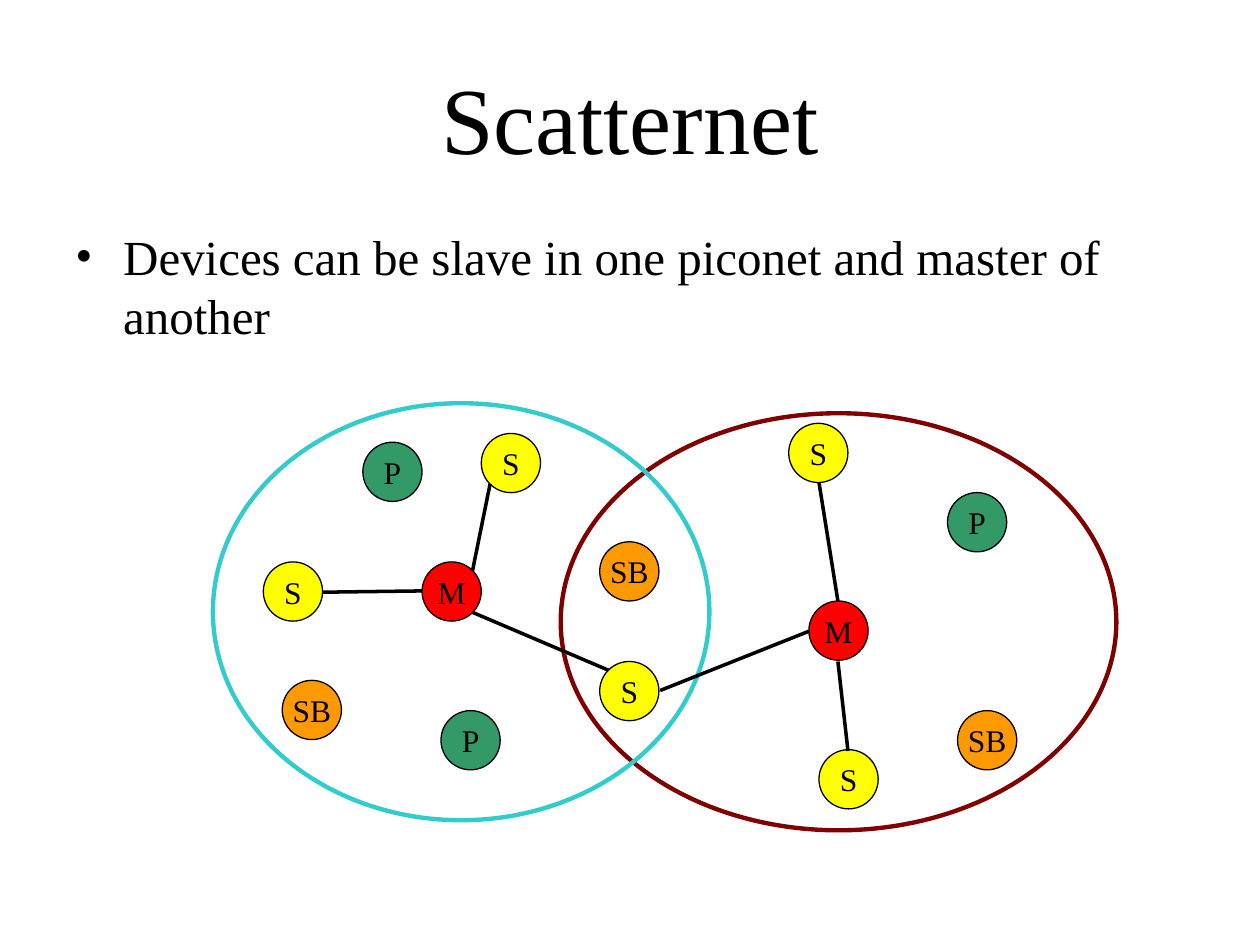
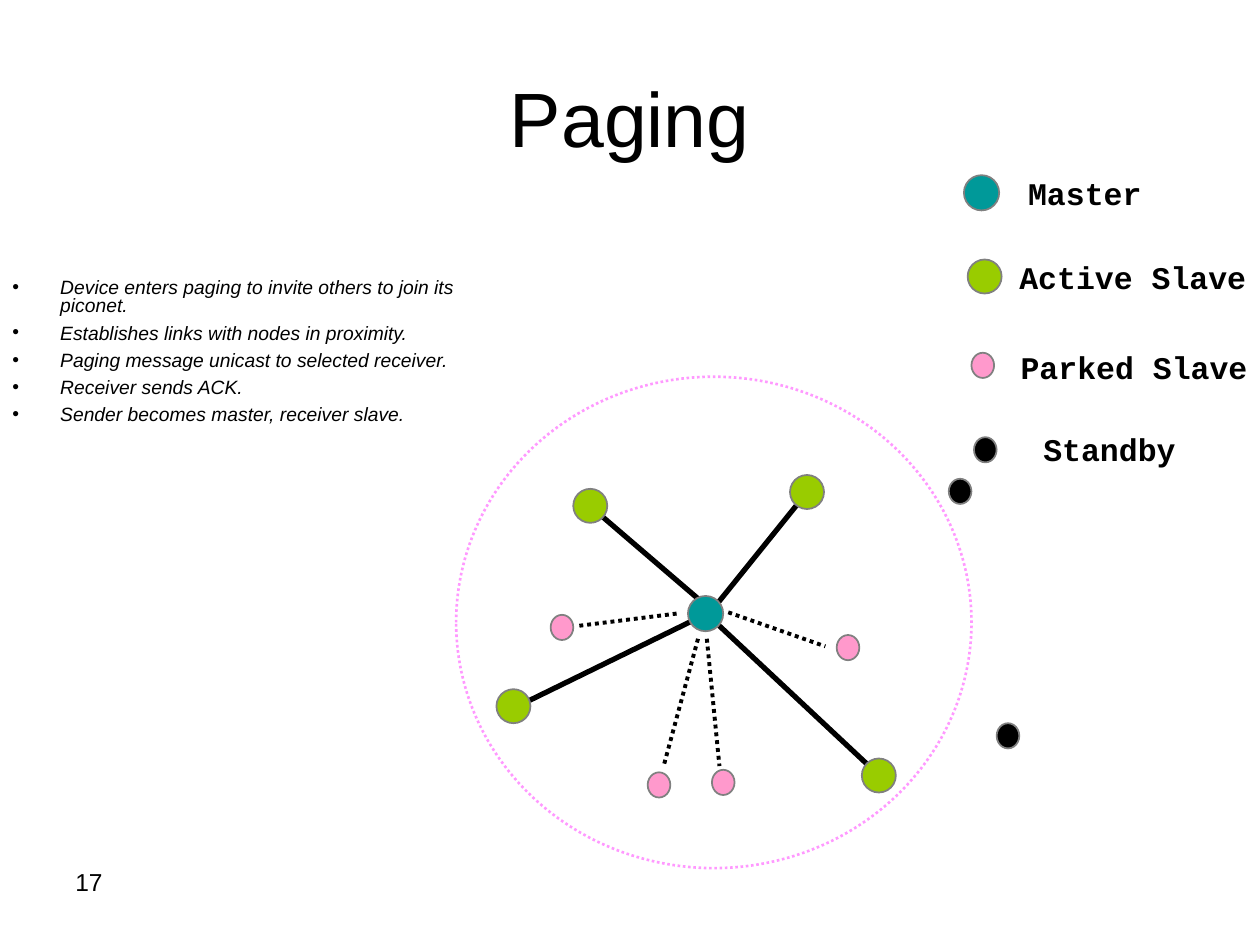
import pptx
import pptx.dml.color
import pptx.enum.dml
import pptx.enum.shapes
import pptx.enum.text
import pptx.util
from lxml import etree
from pptx.oxml.ns import qn
from pptx.util import Inches

BLACK = "000000"
GREY = "808080"
SERIF = "Times New Roman"
SANS = "Arial"
MONO = "Courier New"
FLOW = pptx.enum.shapes.MSO_SHAPE.FLOWCHART_CONNECTOR
OVAL = pptx.enum.shapes.MSO_SHAPE.OVAL
DOTTED = pptx.enum.dml.MSO_LINE.ROUND_DOT
CENTER = pptx.enum.text.PP_ALIGN.CENTER
MIDDLE = pptx.enum.text.MSO_ANCHOR.MIDDLE
TITLE_BOX = (0.5, 0.3, 9, 1.25)

ROLE_COLORS = {"M": "FF0000", "S": "FFFF00", "P": "339966", "SB": "FF9900"}
ROLE_SIZE = 0.47
PICONETS = [((4.45, 3.28, 4.41, 3.31), "800000"), ((1.69, 3.2, 3.94, 3.31), "33CCCC")]
DEVICES = [
    ("M", 3.35, 4.46), ("S", 2.09, 4.46), ("S", 4.76, 5.25), ("S", 3.82, 3.44),
    ("P", 2.88, 3.51), ("P", 3.5, 5.64), ("SB", 2.24, 5.4), ("SB", 4.76, 4.3),
    ("M", 6.42, 4.77), ("S", 6.26, 3.36), ("S", 6.5, 5.95), ("SB", 7.6, 5.64),
    ("P", 7.52, 3.91),
]
DEVICE_LINKS = [
    ((3.35, 4.69), (2.56, 4.7)), ((3.75, 4.53), (3.89, 3.84)), ((3.75, 4.86), (4.83, 5.32)),
    ((6.42, 5.01), (5.24, 5.48)), ((6.65, 4.77), (6.5, 3.83)), ((6.65, 5.25), (6.73, 5.96)),
]

NODE_STYLES = {
    "Master": ("009999", 0.28, 0.28),
    "Active Slave": ("99CC00", 0.27, 0.27),
    "Parked Slave": ("FF99CC", 0.18, 0.2),
    "Standby": (BLACK, 0.18, 0.2),
}
NODES = {
    "Master": [(5.46, 4.73)],
    "Active Slave": [(6.27, 3.77), (6.84, 6.02), (4.55, 3.88), (3.94, 5.47)],
    "Parked Slave": [(5.14, 6.13), (6.64, 5.04), (4.37, 4.88), (5.65, 6.11)],
    "Standby": [(7.91, 5.74), (7.53, 3.8)],
}
LEGEND = [
    ("Master", (7.65, 1.39), (8.06, 1.33, 1.1, 0.4)),
    ("Active Slave", (7.68, 2.06), (7.99, 2, 2, 0.4)),
    ("Parked Slave", (7.71, 2.8), (8, 2.71, 2, 0.4)),
    ("Standby", (7.73, 3.47), (8.18, 3.36, 1.25, 0.4)),
]
ACTIVE_LINKS = [
    ((5.67, 4.82), (6.33, 4)), ((5.68, 4.94), (6.93, 6.11)),
    ((5.55, 4.9), (4.2, 5.56)), ((5.55, 4.76), (4.78, 4.1)),
]
PARKED_LINKS = [
    ((5.37, 4.87), (4.57, 4.97)), ((5.54, 5.07), (5.27, 6.07)),
    ((5.78, 4.86), (6.55, 5.13)), ((5.61, 5.07), (5.71, 6.08)),
]
PAGING_STEPS = [
    "Device enters paging to invite others to join its piconet.",
    "Establishes links with nodes in proximity.",
    "Paging message unicast to selected receiver.",
    "Receiver sends ACK.",
    "Sender becomes master, receiver slave.",
]


def color(value):
    """Turn a hex string into a colour."""
    return pptx.dml.color.RGBColor.from_string(value)


def format_text(shape, font, size, bold=False, italic=False, align=None):
    """Format every paragraph and run of a shape."""
    for paragraph in shape.text_frame.paragraphs:
        paragraph.alignment = align
        for run in paragraph.runs:
            run.font.name = font
            run.font.size = pptx.util.Pt(size)
            run.font.bold = bold
            run.font.italic = italic
            run.font.color.rgb = color(BLACK)


def style_line(line, value, width, dash=None):
    """Set the colour, width and dash of a line."""
    line.color.rgb = color(value)
    line.width = pptx.util.Pt(width)
    if dash is not None:
        line.dash_style = dash


def add_text(slide, box, lines, font, size, wrap=True, anchor=None, **style):
    """Add a text box with one paragraph per line."""
    shape = slide.shapes.add_textbox(*map(Inches, box))
    shape.text_frame.text = "\n".join(lines)
    shape.text_frame.word_wrap = wrap
    shape.text_frame.vertical_anchor = anchor
    format_text(shape, font, size, **style)
    return shape


def add_title(slide, text, font, size):
    """Add the centred slide title."""
    add_text(slide, TITLE_BOX, [text], font, size, anchor=MIDDLE, align=CENTER)


def add_bullets(slide, box, lines, font, size, space_before, line_spacing=None, italic=False):
    """Add a bulleted list with hanging indents."""
    shape = add_text(slide, box, lines, font, size, italic=italic)
    for paragraph in shape.text_frame.paragraphs:
        paragraph.space_before = pptx.util.Pt(space_before)
        paragraph.line_spacing = line_spacing
        properties = paragraph._p.get_or_add_pPr()
        properties.set("marL", str(Inches(0.38)))
        properties.set("indent", str(Inches(-0.38)))
        etree.SubElement(properties, qn("a:buFont"), typeface=font)
        etree.SubElement(properties, qn("a:buChar"), char="•")


def add_round(slide, preset, box, fill, line, width, dash=None):
    """Add a round shape, hollow when it has no fill."""
    shape = slide.shapes.add_shape(preset, *map(Inches, box))
    shape.shadow.inherit = False
    if fill is None:
        shape.fill.background()
    else:
        shape.fill.solid()
        shape.fill.fore_color.rgb = color(fill)
    style_line(shape.line, line, width, dash)
    return shape


def add_links(slide, links, width, dash=None):
    """Add straight black lines between pairs of points."""
    for start, end in links:
        connector = slide.shapes.add_connector(
            pptx.enum.shapes.MSO_CONNECTOR.STRAIGHT, *map(Inches, start + end))
        style_line(connector.line, BLACK, width, dash)
        etree.SubElement(connector._element.spPr, qn("a:effectLst"))


def add_device(slide, role, left, top):
    """Add a device circle lettered with its role."""
    box = (left, top, ROLE_SIZE, ROLE_SIZE)
    shape = add_round(slide, FLOW, box, ROLE_COLORS[role], BLACK, 0.75)
    shape.text_frame.text = role
    shape.text_frame.word_wrap = False
    shape.text_frame.vertical_anchor = MIDDLE
    format_text(shape, SERIF, 18, align=CENTER)


def add_node(slide, kind, position):
    """Add a network node in the style of its kind."""
    fill, width, height = NODE_STYLES[kind]
    add_round(slide, OVAL, position + (width, height), fill, GREY, 1)


def build_scatternet(slide):
    """Build the slide with two overlapping piconets."""
    right_piconet, left_piconet = PICONETS
    add_round(slide, FLOW, right_piconet[0], None, right_piconet[1], 2.5)
    add_title(slide, "Scatternet", SERIF, 54)
    add_bullets(slide, (0.5, 1.75, 9, 4.95),
                ["Devices can be slave in one piconet and master of another"], SERIF, 28, 7)
    add_round(slide, FLOW, left_piconet[0], None, left_piconet[1], 2.5)
    for device in DEVICES:
        add_device(slide, *device)
    add_links(slide, DEVICE_LINKS, 2)


def build_paging(slide):
    """Build the slide with the paging steps, network and legend."""
    add_text(slide, (0.5, 6.83, 2.33, 0.52), ["17"], SANS, 14)
    add_title(slide, "Paging", SANS, 44)
    add_round(slide, OVAL, (3.62, 2.99, 4.09, 3.9), None, "FF99FF", 1.5, DOTTED)
    add_links(slide, ACTIVE_LINKS, 3)
    add_links(slide, PARKED_LINKS, 2.25, DOTTED)
    for kind, positions in NODES.items():
        for position in positions:
            add_node(slide, kind, position)
    for kind, position, label_box in LEGEND:
        add_node(slide, kind, position)
        add_text(slide, label_box, [kind], MONO, 18, wrap=False, anchor=MIDDLE,
                 bold=True, align=CENTER)
    add_bullets(slide, (0, 2.17, 4.17, 1.75), PAGING_STEPS, SANS, 11, 5, 0.8, italic=True)


def main():
    """Build and save the presentation."""
    presentation = pptx.Presentation()
    presentation.slide_width = Inches(10)
    presentation.slide_height = Inches(7.5)
    for build in (build_scatternet, build_paging):
        build(presentation.slides.add_slide(presentation.slide_layouts[6]))
    presentation.save("out.pptx")


main()
